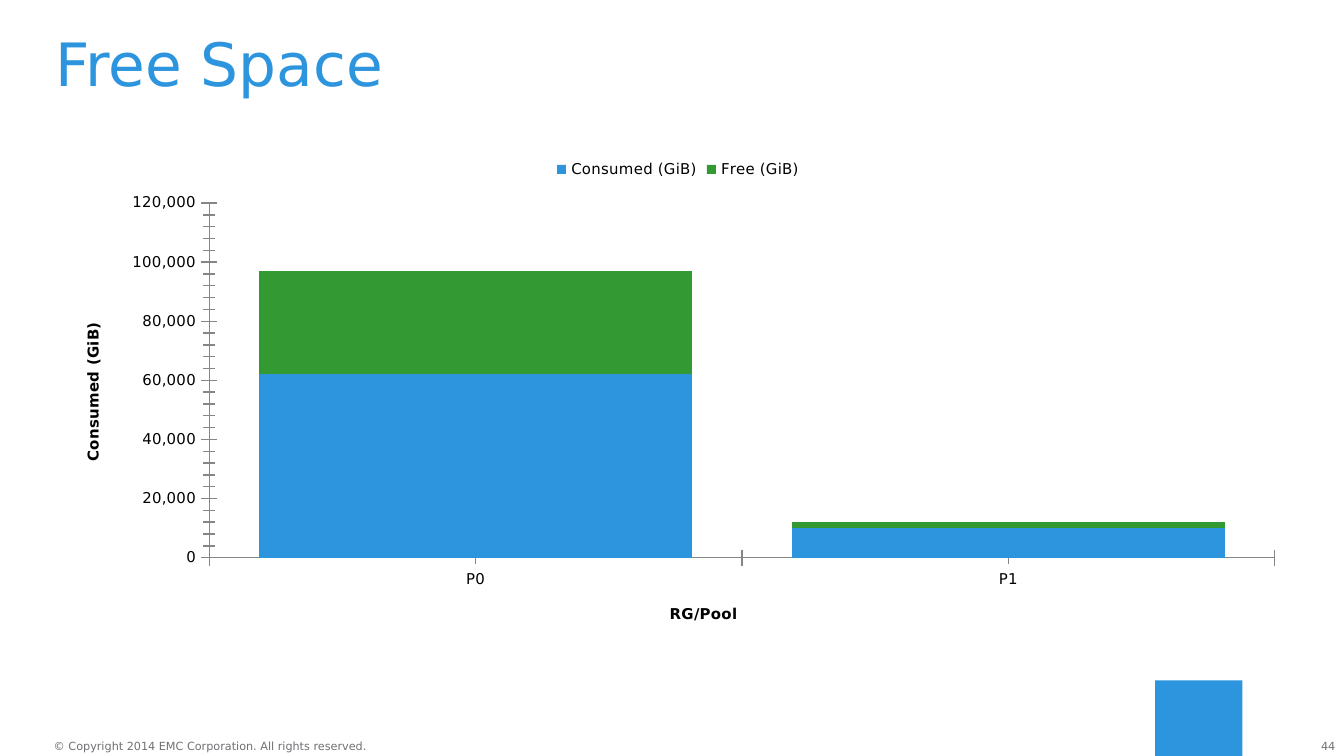
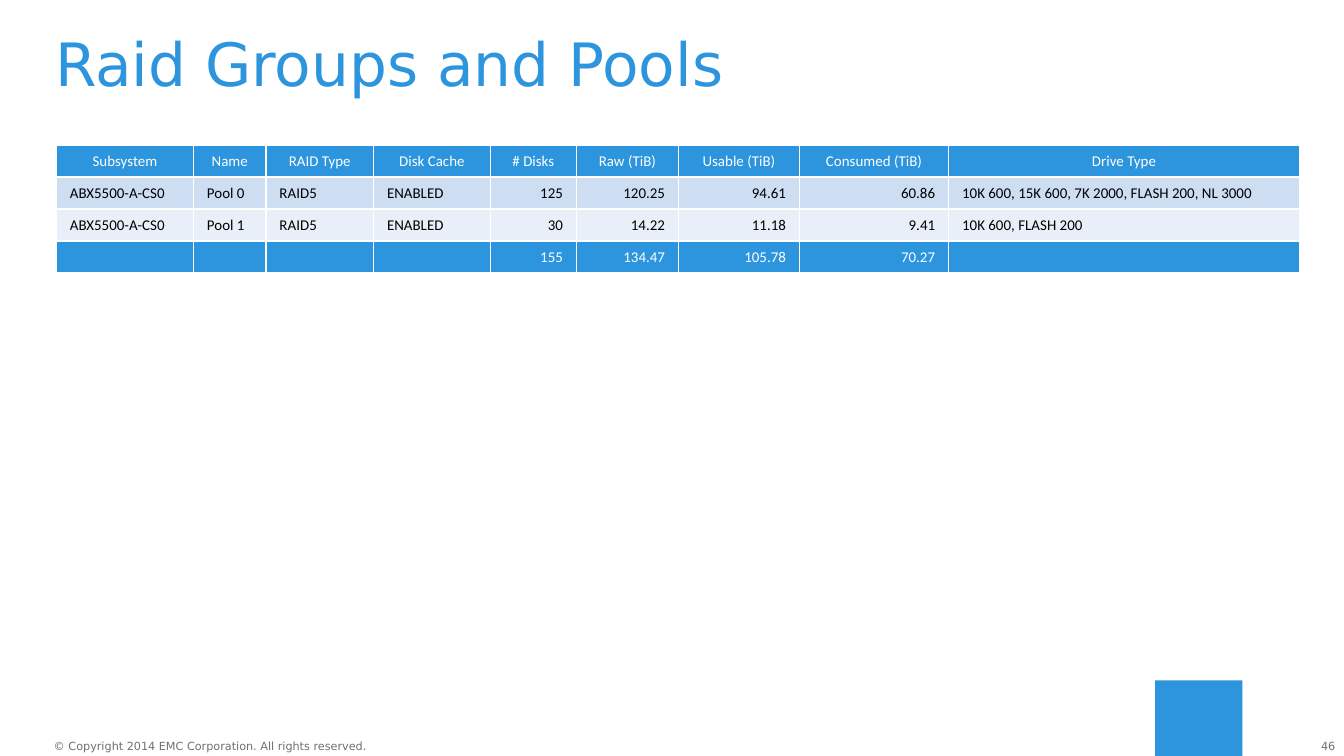
from dataclasses import dataclass

from pptx import Presentation
from pptx.chart.data import CategoryChartData
from pptx.dml.color import RGBColor
from pptx.enum.chart import XL_CHART_TYPE as ChartType
from pptx.enum.chart import XL_LEGEND_POSITION as LegendPosition
from pptx.enum.chart import XL_TICK_MARK as TickMark
from pptx.enum.shapes import MSO_SHAPE as ShapeKind
from pptx.enum.text import MSO_ANCHOR as Anchor
from pptx.enum.text import MSO_AUTO_SIZE as AutoSize
from pptx.enum.text import PP_ALIGN as Align
from pptx.oxml import parse_xml
from pptx.oxml.ns import nsdecls
from pptx.util import Emu, Inches, Pt


@dataclass(frozen=True)
class Theme:
    blue: str = "2C95DD"
    green: str = "339933"
    band_dark: str = "CDDDF2"
    band_light: str = "E8EFF9"
    white: str = "FFFFFF"
    black: str = "000000"
    footer_gray: str = "717074"
    axis_gray: str = "868686"
    font: str = "DejaVu Sans"
    table_font: str = "Calibri"
    title_size: int = 32
    data_size: int = 8
    footer_size: int = 6


@dataclass(frozen=True)
class Box:
    """Left, top, width and height in grid columns and rows."""
    left: float
    top: float
    width: float
    height: float

    def emu(self):
        return [Emu(round(value * UNIT)) for value in
                (self.left, self.top, self.width, self.height)]


THEME = Theme()
SLIDE_WIDTH = Inches(10)
SLIDE_HEIGHT = Emu(SLIDE_WIDTH * 9 // 16)
UNIT = SLIDE_WIDTH / 100  # square grid, 100 columns across the slide

TITLE_BOX = Box(4.1, 2.4, 92.5, 5)
CONTENT_BOX = Box(4.2, 10.8, 92.5, 37.5)
COPYRIGHT_BOX = Box(4, 55, 23.7, 1)
NUMBER_BOX = Box(96.25, 55, 3.1, 1)
CORNER_BOX = Box(85.95, 50.63, 6.5, 5.62)

COPYRIGHT = "© Copyright 2014 EMC Corporation. All rights reserved."

POOLS = ["P0", "P1"]
SPACE_SERIES = [
    ("Consumed (GiB)", [62000, 10000], THEME.blue),
    ("Free (GiB)", [35000, 2000], THEME.green),
]

# Heading, column width in grid columns, alignment below the heading
POOL_COLUMNS = [
    ("Subsystem", 10.2, Align.LEFT),
    ("Name", 5.4, Align.LEFT),
    ("RAID Type", 8, Align.LEFT),
    ("Disk Cache", 8.7, Align.LEFT),
    ("# Disks", 6.4, Align.RIGHT),
    ("Raw (TiB)", 7.6, Align.RIGHT),
    ("Usable (TiB)", 9, Align.RIGHT),
    ("Consumed (TiB)", 11.1, Align.RIGHT),
    ("Drive Type", 26.1, Align.LEFT),
]
POOL_ROWS = [
    ["ABX5500-A-CS0", "Pool 0", "RAID5", "ENABLED", "125", "120.25", "94.61",
     "60.86", "10K 600, 15K 600, 7K 2000, FLASH 200, NL 3000"],
    ["ABX5500-A-CS0", "Pool 1", "RAID5", "ENABLED", "30", "14.22", "11.18",
     "9.41", "10K 600, FLASH 200"],
]
POOL_TOTALS = ["", "", "", "", "155", "134.47", "105.78", "70.27", ""]
ROW_HEIGHT = 2.38


def style_font(font, size, color, name=THEME.font, bold=False):
    font.name, font.size, font.bold = name, Pt(size), bold
    font.color.rgb = RGBColor.from_string(color)


def add_text(slide, box, text, size, color, align=Align.LEFT,
             anchor=Anchor.TOP, wrap=True, grow=AutoSize.SHAPE_TO_FIT_TEXT):
    text_frame = slide.shapes.add_textbox(*box.emu()).text_frame
    text_frame.margin_left = text_frame.margin_right = 0
    text_frame.margin_top = text_frame.margin_bottom = 0
    text_frame.word_wrap = wrap
    text_frame.auto_size = grow
    text_frame.vertical_anchor = anchor
    text_frame.text = text
    paragraph = text_frame.paragraphs[0]
    paragraph.alignment = align
    style_font(paragraph.runs[0].font, size, color)
    return paragraph


# Parts shared by every slide
def add_base_slide(presentation, title, number):
    slide = presentation.slides.add_slide(presentation.slide_layouts[6])
    add_text(slide, NUMBER_BOX, str(number), THEME.footer_size,
             THEME.footer_gray, align=Align.RIGHT)
    corner = slide.shapes.add_shape(ShapeKind.RECTANGLE, *CORNER_BOX.emu())
    corner.shadow.inherit = False
    corner.fill.solid()
    corner.fill.fore_color.rgb = RGBColor.from_string(THEME.blue)
    corner.line.fill.background()
    add_text(slide, COPYRIGHT_BOX, COPYRIGHT, THEME.footer_size,
             THEME.footer_gray, wrap=False)
    heading = add_text(slide, TITLE_BOX, title, THEME.title_size, THEME.blue,
                       anchor=Anchor.BOTTOM, grow=AutoSize.NONE)
    heading.line_spacing = 0.9
    return slide


# Chart region
def set_layout(parent, index, **percents):
    """Place a chart part by percentages of the chart's width and height."""
    for old_layout in parent.xpath("c:layout"):
        parent.remove(old_layout)
    modes = "".join(f'<c:{key}Mode val="edge"/>' for key in ("x", "y"))
    target = '<c:layoutTarget val="inner"/>' if "w" in percents else ""
    values = "".join(f'<c:{key} val="{value / 100}"/>'
                     for key, value in percents.items())
    parent.insert(index, parse_xml(
        f'<c:layout {nsdecls("c")}><c:manualLayout>{target}{modes}{values}'
        '</c:manualLayout></c:layout>'))


def style_axis(axis, title):
    axis.has_major_gridlines = False
    axis.major_tick_mark = axis.minor_tick_mark = TickMark.CROSS
    axis.format.line.color.rgb = RGBColor.from_string(THEME.axis_gray)
    axis.format.line.width = Pt(0.75)
    text_frame = axis.axis_title.text_frame
    text_frame.text = title
    style_font(text_frame.paragraphs[0].runs[0].font, THEME.data_size,
               THEME.black, bold=True)


def add_space_chart(slide, box):
    data = CategoryChartData(number_format="#,##0")
    data.categories = POOLS
    for name, values, _ in SPACE_SERIES:
        data.add_series(name, values)
    chart = slide.shapes.add_chart(ChartType.COLUMN_STACKED, *box.emu(),
                                   data).chart
    chart.has_title = False
    style_font(chart.font, THEME.data_size, THEME.black)
    chart.has_legend = True
    chart.legend.position = LegendPosition.TOP
    chart.legend.include_in_layout = False

    plot = chart.plots[0]
    plot.gap_width, plot.overlap = 23, 100
    plot.vary_by_categories = False
    for series, (_, _, color) in zip(plot.series, SPACE_SERIES):
        series.format.fill.solid()
        series.format.fill.fore_color.rgb = RGBColor.from_string(color)

    style_axis(chart.category_axis, "RG/Pool")
    style_axis(chart.value_axis, "Consumed (GiB)")
    chart.value_axis.minimum_scale = 0
    chart.value_axis.maximum_scale = 120000
    chart.value_axis.major_unit = 20000
    chart.value_axis.minor_unit = 4000
    chart.value_axis.tick_labels.number_format = "#,##0"
    chart.value_axis.tick_labels.number_format_is_linked = False

    plot_area = chart._chartSpace.xpath(".//c:plotArea")[0]
    set_layout(plot_area, 0, x=12.3, y=11.5, w=85.7, h=70.4)
    set_layout(plot_area.xpath("c:catAx/c:title")[0], 1, x=49.1, y=90.5)
    set_layout(plot_area.xpath("c:valAx/c:title")[0], 1, x=1.9, y=34.6)


# Table region
def fill_row(table, row_index, texts, fill, color, alignments):
    for column, (text, alignment) in enumerate(zip(texts, alignments)):
        cell = table.cell(row_index, column)
        cell.fill.solid()
        cell.fill.fore_color.rgb = RGBColor.from_string(fill)
        cell.text_frame.text = text
        paragraph = cell.text_frame.paragraphs[0]
        paragraph.alignment = alignment
        for run in paragraph.runs:
            style_font(run.font, THEME.data_size, color, THEME.table_font)
        # Empty cells need the small size too, or their row grows
        end = paragraph._p.get_or_add_endParaRPr()
        end.set("sz", str(THEME.data_size * 100))


def add_pool_table(slide, box):
    headings, widths, alignments = zip(*POOL_COLUMNS)
    row_count = len(POOL_ROWS) + 2
    table_box = Box(box.left, box.top, box.width, row_count * ROW_HEIGHT)
    table = slide.shapes.add_table(row_count, len(headings),
                                   *table_box.emu()).table
    # The table style draws the white rules between cells
    table.first_row = table.last_row = True
    for column, width in zip(table.columns, widths):
        column.width = Emu(round(width * UNIT))

    fill_row(table, 0, headings, THEME.blue, THEME.white,
             [Align.CENTER] * len(headings))
    bands = (THEME.band_dark, THEME.band_light)
    for index, texts in enumerate(POOL_ROWS):
        fill_row(table, index + 1, texts, bands[index % 2], THEME.black,
                 alignments)
    fill_row(table, row_count - 1, POOL_TOTALS, THEME.blue, THEME.white,
             alignments)


def main():
    presentation = Presentation()
    presentation.slide_width = SLIDE_WIDTH
    presentation.slide_height = SLIDE_HEIGHT
    add_space_chart(add_base_slide(presentation, "Free Space", 44),
                    CONTENT_BOX)
    add_pool_table(add_base_slide(presentation, "Raid Groups and Pools", 46),
                   CONTENT_BOX)
    presentation.save("out.pptx")


if __name__ == "__main__":
    main()
